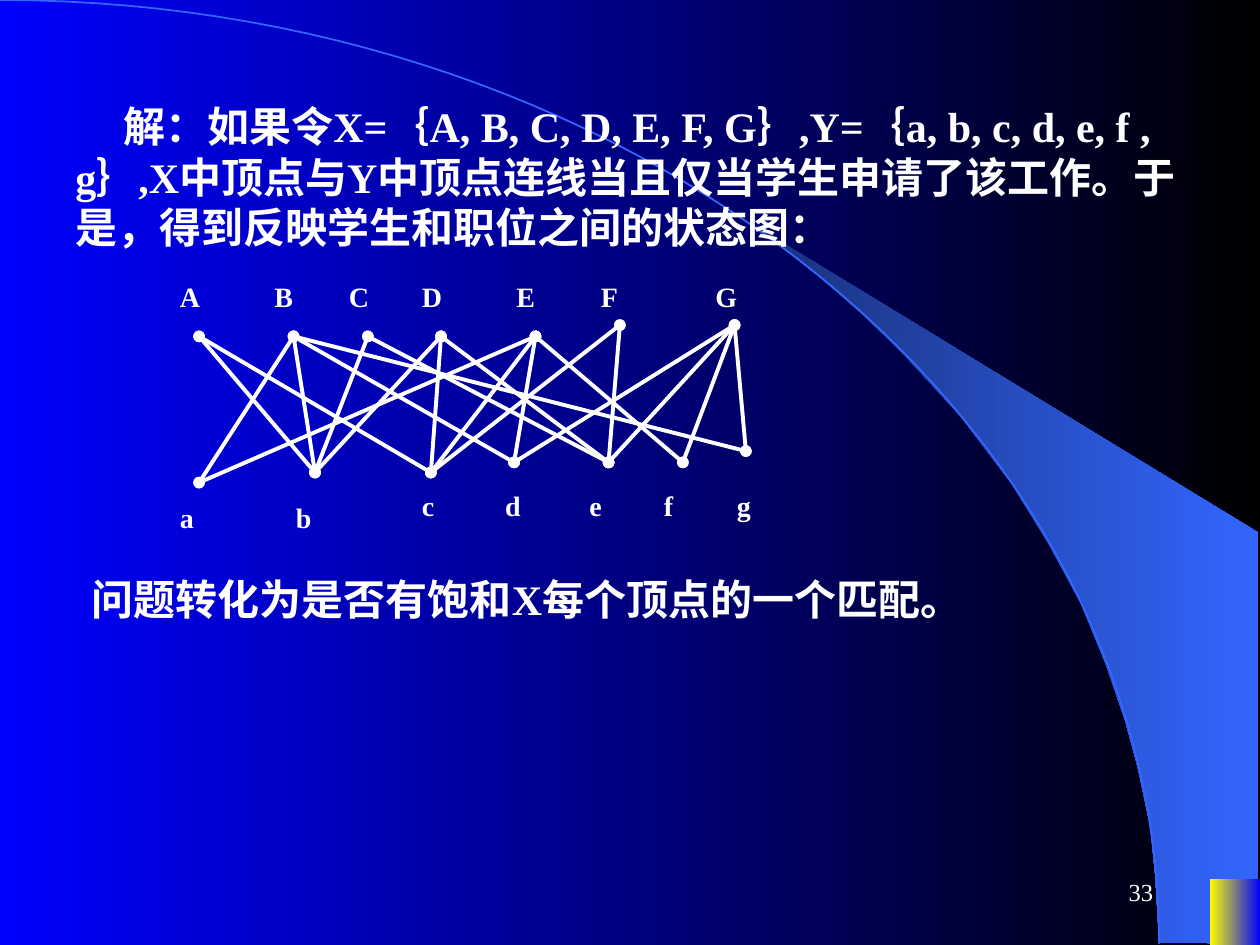
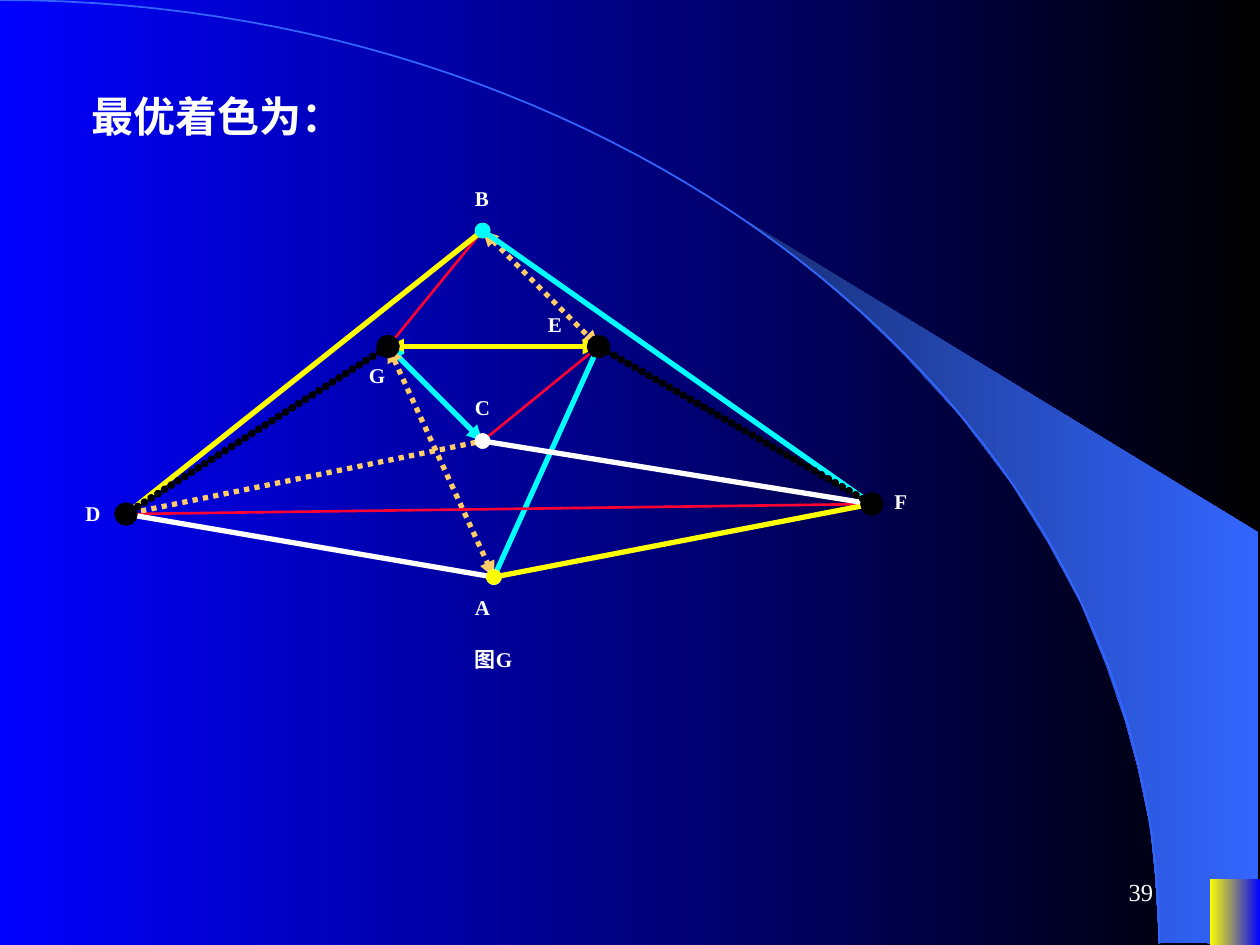
from lxml import etree
from pptx import Presentation
from pptx.dml.color import RGBColor
from pptx.enum.shapes import MSO_CONNECTOR, MSO_SHAPE
from pptx.enum.text import MSO_ANCHOR, PP_ALIGN
from pptx.oxml.ns import qn
from pptx.util import Inches, Pt

STRAIGHT = MSO_CONNECTOR.STRAIGHT
RECT = MSO_SHAPE.RECTANGLE
MIDDLE, RIGHT, LEFT = MSO_ANCHOR.MIDDLE, PP_ALIGN.RIGHT, PP_ALIGN.LEFT

FONT = "Times New Roman"
COLORS = {
    "white": "FFFFFF", "black": "000000", "blue": "0000FF", "yellow": "FFFF00",
    "navy": "182F76", "sky": "3366FF", "red": "FF0033", "sand": "FFCC66",
    "cyan": "00FFFF",
}

# Slide 1: students applying for jobs
SOLUTION = ("解：如果令X=｛A, B, C, D, E, F, G｝,Y=｛a, b, c, d, e, f , g｝,"
            "X中顶点与Y中顶点连线当且仅当学生申请了该工作。"
            "于是，得到反映学生和职位之间的状态图：")
CONCLUSION = "问题转化为是否有饱和X每个顶点的一个匹配。"
STUDENTS = {"A": (1.58, 2.67), "B": (2.33, 2.67), "C": (2.92, 2.67),
            "D": (3.5, 2.67), "E": (4.25, 2.67), "F": (4.92, 2.58),
            "G": (5.83, 2.58)}
JOBS = {"a": (1.58, 3.83), "b": (2.5, 3.75), "c": (3.42, 3.75),
        "d": (4.08, 3.67), "e": (4.83, 3.67), "f": (5.42, 3.67),
        "g": (5.92, 3.58)}
APPLICATIONS = {"A": "bc", "B": "abdg", "C": "be", "D": "bce",
                "E": "acdf", "F": "ce", "G": "defg"}
STUDENT_LABEL_TOP = 2.17
JOB_LABEL_TOPS = {"a": 3.92, "b": 3.92}  # the others sit at 3.83

# Slide 2: optimal edge colouring
COLORING = "最优着色为："
VERTICES = {"A": (3.92, 4.58), "B": (3.83, 1.83), "C": (3.83, 3.5),
            "D": (1, 4.08), "E": (4.75, 2.75), "F": (6.92, 4),
            "G": (3.08, 2.75)}
VERTEX_LABELS = [("F", 7, 3.83), ("D", 0.58, 3.92), ("A", 3.67, 4.67),
                 ("G", 2.83, 2.83), ("C", 3.67, 3.08), ("E", 4.25, 2.42),
                 ("B", 3.67, 1.42), ("图G", 3.67, 5.08)]
# colour -> (width in points, dash)
EDGE_STYLES = {"red": (1.5, None), "sand": (3, "square"), "yellow": (3, None),
               "cyan": (3, None), "white": (3, None), "black": (4.5, "round")}
# edge, colour, line ends; from back to front
EDGES = [
    ("BG", "red", "oval"), ("BE", "sand", "triangle"),
    ("GE", "yellow", "triangle"), ("GC", "cyan", "triangle"),
    ("EC", "red", "oval"), ("GA", "sand", "triangle"),
    ("EA", "cyan", "oval"), ("BD", "yellow", "oval"),
    ("BF", "cyan", "oval"), ("DF", "red", "triangle"),
    ("DA", "white", "oval"), ("FA", "yellow", "oval"),
    ("CD", "sand", "oval"), ("CF", "white", "oval"),
    ("GD", "black", "oval"), ("EF", "black", "oval"),
]

# Shared backdrop
WEDGE = [(9.2, 7.48), (9.99, 7.49), (9.99, 4.23), (5.89, 1.73), (6.24, 1.99),
         (6.53, 2.22), (6.85, 2.5), (7.16, 2.8), (7.62, 3.3), (8.03, 3.84),
         (8.32, 4.31), (8.58, 4.79), (8.78, 5.28), (8.93, 5.72), (9.03, 6.09),
         (9.13, 6.56), (9.17, 6.96), (9.2, 7.48)]
ARC = [(0, 0), (5.08, 0), (9.2, 3.35), (9.2, 7.49)]  # Bezier control points
ARC_STEPS = 60


def rgb(name):
    return RGBColor.from_string(COLORS[name])


def set_gradient(fill, start, end):
    fill.gradient()
    fill.gradient_angle = 0
    for stop, name, position in zip(fill.gradient_stops, (start, end), (0, 1)):
        stop.color.rgb = rgb(name)
        stop.position = position


def bezier(points, t):
    weights = ((1 - t) ** 3, 3 * t * (1 - t) ** 2, 3 * t * t * (1 - t), t ** 3)
    return tuple(sum(w * p[axis] for w, p in zip(weights, points))
                 for axis in (0, 1))


def add_outline(slide, points, close):
    emu = [(Inches(x), Inches(y)) for x, y in points]
    builder = slide.shapes.build_freeform(*emu[0], scale=1.0)
    builder.add_line_segments(emu[1:], close=close)
    sp = builder.convert_to_shape()
    sp.shadow.inherit = False
    return sp


def add_text(slide, text, box, size, bold=True, align=LEFT, anchor=None,
             indent=0):
    sp = slide.shapes.add_textbox(*[Inches(v) for v in box])
    tf = sp.text_frame
    tf.word_wrap = True
    if anchor is not None:
        tf.vertical_anchor = anchor
    p = tf.paragraphs[0]
    p.text = text
    p.alignment = align
    if indent:
        p._p.get_or_add_pPr().set("indent", str(Inches(indent)))
    font = p.runs[0].font
    font.name, font.size, font.bold = FONT, Pt(size), bold
    font.color.rgb = rgb("white")


def add_statement(slide, text, box):
    add_text(slide, text, box, 24, indent=0.38)


def add_edge(slide, start, end, color, width, ends, dash=None):
    line = slide.shapes.add_connector(
        STRAIGHT, *[Inches(v) for v in (*start, *end)])
    line.line.color.rgb = rgb(color)
    line.line.width = Pt(width)
    ln = line.line._get_or_add_ln()
    if dash == "square":
        etree.SubElement(ln, qn("a:prstDash")).set("val", "sysDot")
    elif dash == "round":  # touching round dots
        ln.set("cap", "rnd")
        dots = etree.SubElement(ln, qn("a:custDash"))
        etree.SubElement(dots, qn("a:ds"), d="100000", sp="1000")
    for tag in ("a:headEnd", "a:tailEnd"):
        etree.SubElement(ln, qn(tag)).set("type", ends)
    etree.SubElement(line._element.spPr, qn("a:effectLst"))


def add_base_slide(prs, number):
    slide = prs.slides.add_slide(prs.slide_layouts[6])
    set_gradient(slide.background.fill, "blue", "black")

    wedge = add_outline(slide, WEDGE, True)
    set_gradient(wedge.fill, "navy", "sky")
    wedge.line.fill.background()

    curve = [bezier(ARC, i / ARC_STEPS) for i in range(ARC_STEPS + 1)]
    arc = add_outline(slide, curve, False)
    arc.fill.background()
    arc.line.color.rgb = rgb("sky")
    arc.line.width = Pt(1)

    corner = slide.shapes.add_shape(
        RECT, *[Inches(v) for v in (9.6, 6.98, 0.4, 0.52)])
    corner.shadow.inherit = False
    set_gradient(corner.fill, "yellow", "blue")
    corner.line.fill.background()

    add_text(slide, str(number), (7.17, 6.83, 2.08, 0.5), 14, False,
             RIGHT, MIDDLE)
    return slide


def build_matching(prs):
    slide = add_base_slide(prs, 33)
    add_statement(slide, CONCLUSION, (0.25, 4.5, 9.08, 0.5))
    # Labels stand a fixed step to the left of their vertices
    for name, (x, _) in STUDENTS.items():
        add_text(slide, name, (x - 0.25, STUDENT_LABEL_TOP, 0.52, 0.37), 16)
    for name, (x, _) in JOBS.items():
        top = JOB_LABEL_TOPS.get(name, 3.83)
        shift = 0.25 if name in "abef" else 0.17
        add_text(slide, name, (x - shift, top, 0.52, 0.37), 16)
    for student, jobs in APPLICATIONS.items():
        for job in jobs:
            add_edge(slide, STUDENTS[student], JOBS[job], "white", 2.25, "oval")
    add_statement(slide, SOLUTION, (0.5, 0.75, 9.08, 1.3))


def build_coloring(prs):
    slide = add_base_slide(prs, 39)
    add_statement(slide, COLORING, (0.25, 0.67, 9.17, 0.5))
    for (start, end), color, ends in EDGES:
        width, dash = EDGE_STYLES[color]
        add_edge(slide, VERTICES[start], VERTICES[end], color, width, ends, dash)
    for name, x, y in VERTEX_LABELS:
        add_text(slide, name, (x, y, 0.43 if len(name) == 1 else 0.58, 0.3), 12)


def main():
    prs = Presentation()
    prs.slide_width, prs.slide_height = Inches(10), Inches(7.5)
    build_matching(prs)
    build_coloring(prs)
    prs.save("out.pptx")


if __name__ == "__main__":
    main()
